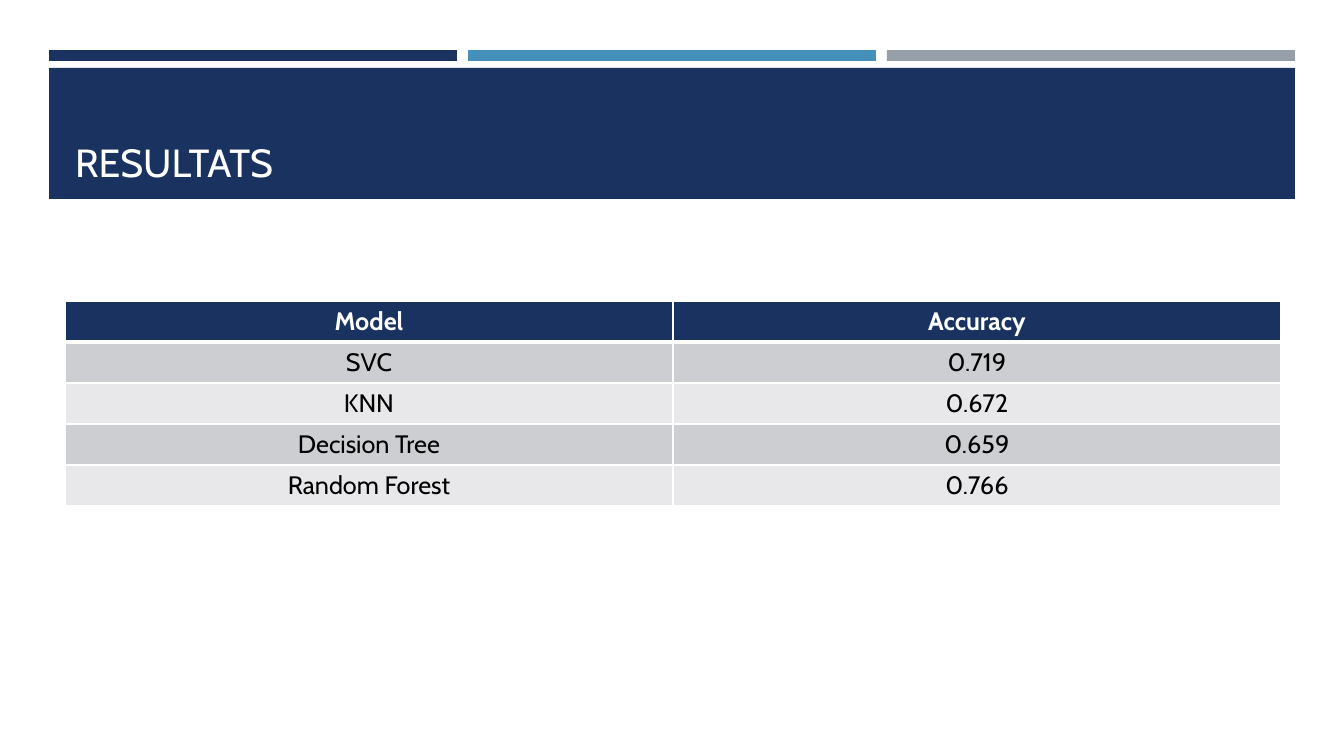
from lxml import etree
from pptx import Presentation
from pptx.dml.color import RGBColor
from pptx.enum.shapes import MSO_SHAPE
from pptx.enum.text import MSO_ANCHOR, MSO_AUTO_SIZE, PP_ALIGN
from pptx.oxml.ns import qn
from pptx.util import Pt

RECT = MSO_SHAPE.RECTANGLE
BOTTOM = MSO_ANCHOR.BOTTOM
NO_FIT = MSO_AUTO_SIZE.NONE
LEFT, CENTER = PP_ALIGN.LEFT, PP_ALIGN.CENTER

SLIDE_W, SLIDE_H = 1344, 756
EMU_PER_PX = 12192000 / SLIDE_W
TITLE_ONLY = 5
FONT = "Cabin"
COLORS = {
    "navy": "1A3260",
    "blue": "4590B8",
    "gray": "969FA7",
    "band_dark": "CDCED2",
    "band_light": "E8E8EA",
    "white": "FFFFFF",
    "black": "000000",
}
RESULTS = [
    ("Model", "Accuracy"),
    ("SVC", "0.719"),
    ("KNN", "0.672"),
    ("Decision Tree", "0.659"),
    ("Random Forest", "0.766"),
]


def px(n):
    return round(n * EMU_PER_PX)


def rgb(name):
    return RGBColor.from_string(COLORS[name])


class SlideBuilder:
    def __init__(self, slide):
        self.slide = slide

    def style_text(self, p, size, color, align, bold=False):
        p.alignment = align
        for r in p.runs:
            r.font.name = FONT
            r.font.size = Pt(size)
            r.font.bold = bold
            r.font.color.rgb = rgb(color)

    def bar(self, x, y, w, h, color):
        sp = self.slide.shapes.add_shape(RECT, px(x), px(y), px(w), px(h))
        sp.shadow.inherit = False
        sp.fill.solid()
        sp.fill.fore_color.rgb = rgb(color)
        sp.line.fill.background()

    def title(self, text, x, y, w, h):
        """Fill the title placeholder and bring it in front of the banner."""
        sp = self.slide.shapes.title
        sp.left, sp.top, sp.width, sp.height = px(x), px(y), px(w), px(h)
        tf = sp.text_frame
        tf.text = text
        tf.word_wrap = True
        tf.auto_size = NO_FIT
        tf.vertical_anchor = BOTTOM
        self.style_text(tf.paragraphs[0], 28, "white", LEFT)
        sp._element.getparent().append(sp._element)

    def cell_borders(self, cell, top, bottom):
        """Draw white borders; top and bottom are widths in points."""
        tc_pr = cell._tc.get_or_add_tcPr()
        widths = {"lnL": 1, "lnR": 1, "lnT": top, "lnB": bottom}
        for i, (edge, width) in enumerate(widths.items()):
            ln = etree.Element(qn(f"a:{edge}"), w=str(Pt(width)))
            fill = etree.SubElement(ln, qn("a:solidFill"))
            etree.SubElement(fill, qn("a:srgbClr"), val=COLORS["white"])
            tc_pr.insert(i, ln)

    def table(self, rows, x, y, col_w, row_h):
        n_rows, n_cols = len(rows), len(rows[0])
        table = self.slide.shapes.add_table(
            n_rows, n_cols, px(x), px(y), px(col_w * n_cols), px(row_h * n_rows)
        ).table
        for i, row in enumerate(rows):
            table.rows[i].height = px(row_h)
            header = i == 0
            band = "band_dark" if i % 2 else "band_light"
            for j, text in enumerate(row):
                cell = table.cell(i, j)
                cell.text = text
                cell.fill.solid()
                cell.fill.fore_color.rgb = rgb("navy" if header else band)
                self.style_text(cell.text_frame.paragraphs[0], 18,
                                "white" if header else "black", CENTER, header)
                self.cell_borders(cell, 3 if i == 1 else 1, 3 if header else 1)


def main():
    prs = Presentation()
    prs.slide_width, prs.slide_height = px(SLIDE_W), px(SLIDE_H)
    s = SlideBuilder(prs.slides.add_slide(prs.slide_layouts[TITLE_ONLY]))

    for i, color in enumerate(("navy", "blue", "gray")):
        s.bar(49 + 419 * i, 50, 408, 11, color)
    s.bar(49, 68, 1246, 131, "navy")
    s.title("RESULTATS", 65, 78, 1215, 112)
    s.table(RESULTS, 65, 301, 608, 41)

    prs.save("out.pptx")


if __name__ == "__main__":
    main()
